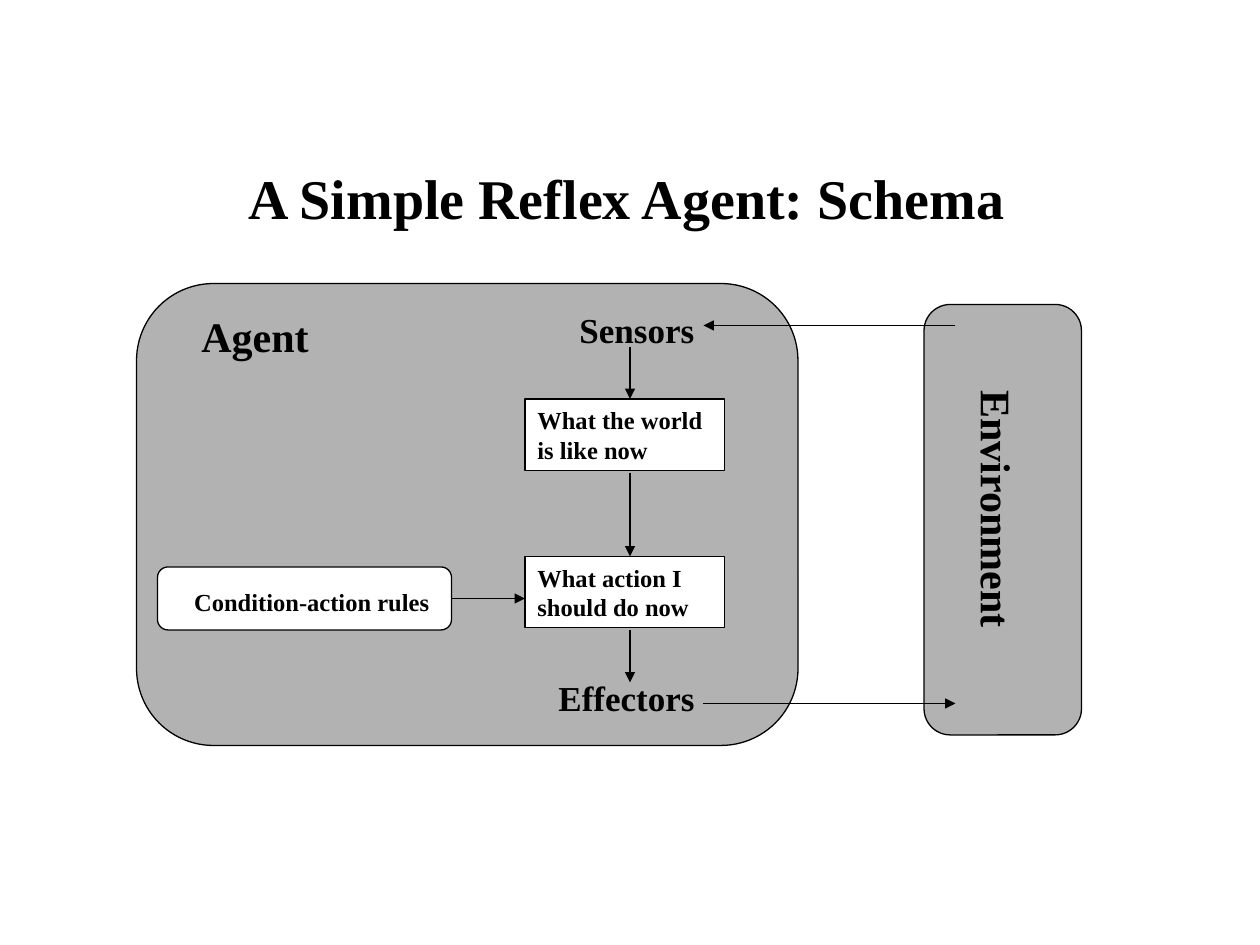
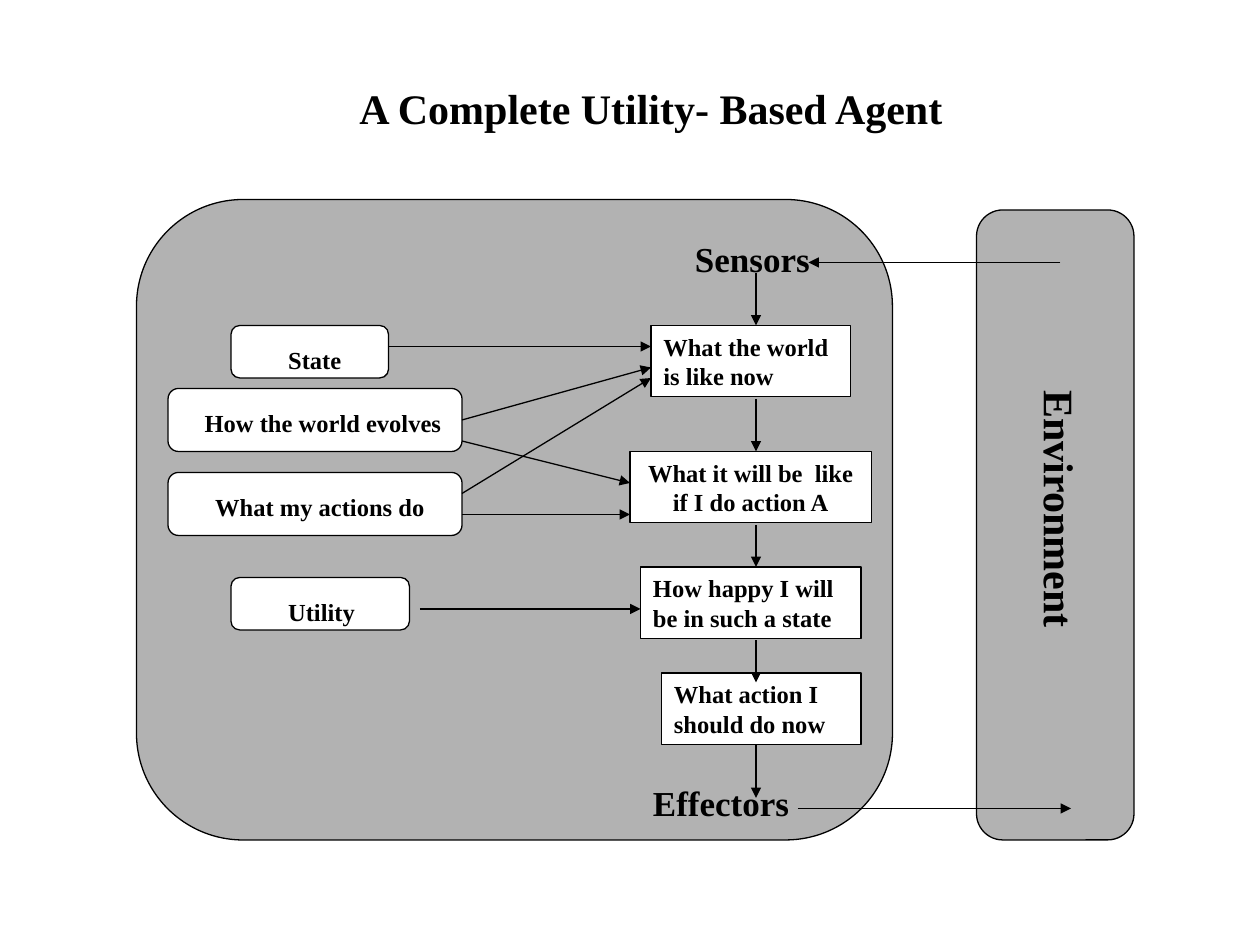
from lxml.etree import SubElement
from pptx import Presentation
from pptx.dml.color import RGBColor
from pptx.enum.shapes import MSO_CONNECTOR, MSO_SHAPE
from pptx.enum.text import MSO_ANCHOR, PP_ALIGN
from pptx.oxml.ns import qn
from pptx.util import Pt

PX = 7620  # 120 px to the inch
SLIDE_WIDTH, SLIDE_HEIGHT = 1200, 900
FONT = "Times New Roman"
BLACK = RGBColor(0x00, 0x00, 0x00)
WHITE = RGBColor(0xFF, 0xFF, 0xFF)
GREY = RGBColor(0xB2, 0xB2, 0xB2)
THIN, THICK = 0.75, 1
HEADING, CAPTION, LABEL = 24, 20, 14
STEP_HEIGHT = 68
MARGIN_X, MARGIN_Y = 12, 6
LEFT, CENTER = PP_ALIGN.LEFT, PP_ALIGN.CENTER

# title: text, size, frame      panels: frame
# captions: text, size, frame, rotation
# steps: text, left, top, width, alignment
# knowledge: text, frame, left inset
# arrows: from x, from y, to x, to y, weight
DIAGRAMS = [
    {
        "title": ("A Simple Reflex Agent: Schema", 32, (62, 148, 1070, 80)),
        "panels": [(130, 270, 630, 440), (880, 290, 150, 410)],
        "captions": [
            ("Environment", HEADING, (810, 470, 280, 60), 90),
            ("Agent", HEADING, (180, 290, 160, 60), 0),
            ("Sensors", CAPTION, (540, 288, 140, 53), 0),
            ("Effectors", CAPTION, (520, 638, 160, 53), 0),
        ],
        "steps": [
            ("What the world is like now", 500, 380, 190, LEFT),
            ("What action I should do now", 500, 530, 190, LEFT),
        ],
        "knowledge": [("Condition-action rules", (150, 540, 280, 60), 32)],
        "arrows": [
            (430, 570, 500, 570, THICK),
            (600, 330, 600, 380, THICK),
            (600, 450, 600, 530, THICK),
            (600, 600, 600, 650, THIN),
            (670, 670, 910, 670, THICK),
            (910, 310, 670, 310, THICK),
        ],
    },
    {
        "title": ("A Complete Utility- Based Agent", 24, (90, 73, 1060, 60)),
        "panels": [(130, 190, 720, 610), (930, 200, 150, 600)],
        "captions": [
            ("Environment", HEADING, (870, 470, 280, 60), 90),
            ("Sensors", CAPTION, (650, 220, 140, 53), 0),
            ("Effectors", CAPTION, (610, 738, 160, 53), 0),
        ],
        "steps": [
            ("What the world is like now", 620, 310, 190, LEFT),
            ("What it will be  like if I do action A", 600, 430, 230, CENTER),
            ("How happy I will be in such a state", 610, 540, 210, LEFT),
            ("What action I should do now", 630, 641, 190, LEFT),
        ],
        "knowledge": [
            ("State", (220, 310, 150, 50), 52),
            ("How the world evolves", (160, 370, 280, 60), 32),
            ("What my actions do", (160, 450, 280, 60), 42),
            ("Utility", (220, 550, 170, 50), 52),
        ],
        "arrows": [
            (720, 260, 720, 310, THICK),
            (720, 380, 720, 430, THICK),
            (720, 500, 720, 540, THICK),
            (720, 610, 720, 650, THICK),
            (720, 710, 720, 760, THIN),
            (760, 770, 1020, 770, THICK),
            (1010, 250, 770, 250, THICK),
            (370, 330, 620, 330, THICK),
            (440, 400, 620, 350, THIN),
            (440, 420, 600, 460, THIN),
            (440, 470, 620, 360, THIN),
            (440, 490, 600, 490, THIN),
            (400, 580, 610, 580, THICK),
        ],
    },
]


def emu(lengths):
    return [length * PX for length in lengths]


def write(shape, text, size, alignment=LEFT, anchor=MSO_ANCHOR.TOP,
          margins=(MARGIN_X, MARGIN_Y)):
    """Set bold black text; margins are the left and the top one."""
    frame = shape.text_frame
    frame.word_wrap = True
    frame.vertical_anchor = anchor
    frame.margin_left, frame.margin_top = emu(margins)
    frame.text = text
    paragraph = frame.paragraphs[0]
    paragraph.alignment = alignment
    for run in paragraph.runs:
        run.font.name = FONT
        run.font.size = Pt(size)
        run.font.bold = True
        run.font.color.rgb = BLACK


def add_title(slide, text, size, frame):
    title = slide.shapes.title
    title.left, title.top, title.width, title.height = emu(frame)
    write(title, text, size, CENTER, MSO_ANCHOR.MIDDLE)


def add_box(slide, kind, frame, color):
    box = slide.shapes.add_shape(kind, *emu(frame))
    box.shadow.inherit = False
    box.fill.solid()
    box.fill.fore_color.rgb = color
    box.line.color.rgb = BLACK
    box.line.width = Pt(THIN)
    return box


def add_caption(slide, text, size, frame, rotation):
    caption = slide.shapes.add_textbox(*emu(frame))
    caption.rotation = rotation
    write(caption, text, size)


def side_at(boxes, point):
    """Return the box and side whose middle is the point, or None."""
    for box in boxes:
        center_x, center_y = box.left + box.width // 2, box.top + box.height // 2
        middles = [(center_x, box.top), (box.left, center_y),
                   (center_x, box.top + box.height), (box.left + box.width, center_y)]
        if point in middles:
            return box, middles.index(point)
    return None


def add_arrow(slide, boxes, start_x, start_y, end_x, end_y, weight):
    points = emu((start_x, start_y, end_x, end_y))
    arrow = slide.shapes.add_connector(MSO_CONNECTOR.STRAIGHT, *points)
    arrow.line.color.rgb = BLACK
    arrow.line.width = Pt(weight)
    properties = arrow._element.spPr
    SubElement(properties.find(qn("a:ln")), qn("a:tailEnd"), type="triangle")
    SubElement(properties, qn("a:effectLst"))
    for connect, point in ((arrow.begin_connect, points[:2]),
                           (arrow.end_connect, points[2:])):
        joint = side_at(boxes, tuple(point))
        if joint:
            connect(*joint)


def add_diagram(slide, diagram):
    add_title(slide, *diagram["title"])
    for frame in diagram["panels"]:
        add_box(slide, MSO_SHAPE.ROUNDED_RECTANGLE, frame, GREY)
    for caption in diagram["captions"]:
        add_caption(slide, *caption)

    boxes = []
    for text, left, top, width, alignment in diagram["steps"]:
        box = add_box(slide, MSO_SHAPE.RECTANGLE,
                      (left, top, width, STEP_HEIGHT), WHITE)
        write(box, text, LABEL, alignment)
        boxes.append(box)
    for text, frame, inset in diagram["knowledge"]:
        box = add_box(slide, MSO_SHAPE.ROUNDED_RECTANGLE, frame, WHITE)
        write(box, text, LABEL, margins=(inset, 16))
        boxes.append(box)

    for arrow in diagram["arrows"]:
        add_arrow(slide, boxes, *arrow)


def main():
    presentation = Presentation()
    presentation.slide_width, presentation.slide_height = emu((SLIDE_WIDTH, SLIDE_HEIGHT))
    title_only = presentation.slide_layouts[5]
    for diagram in DIAGRAMS:
        add_diagram(presentation.slides.add_slide(title_only), diagram)
    presentation.save("out.pptx")


if __name__ == "__main__":
    main()
